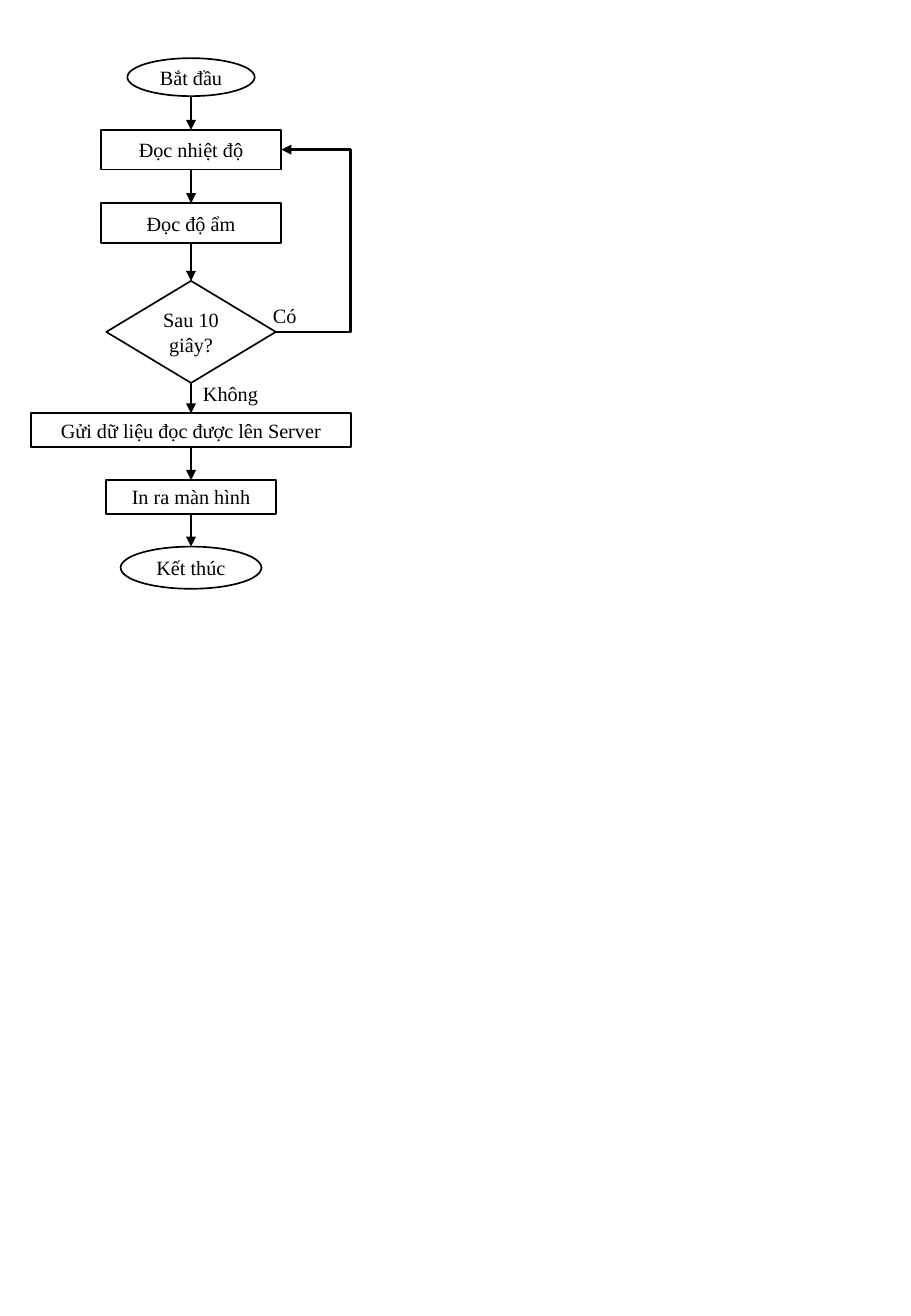
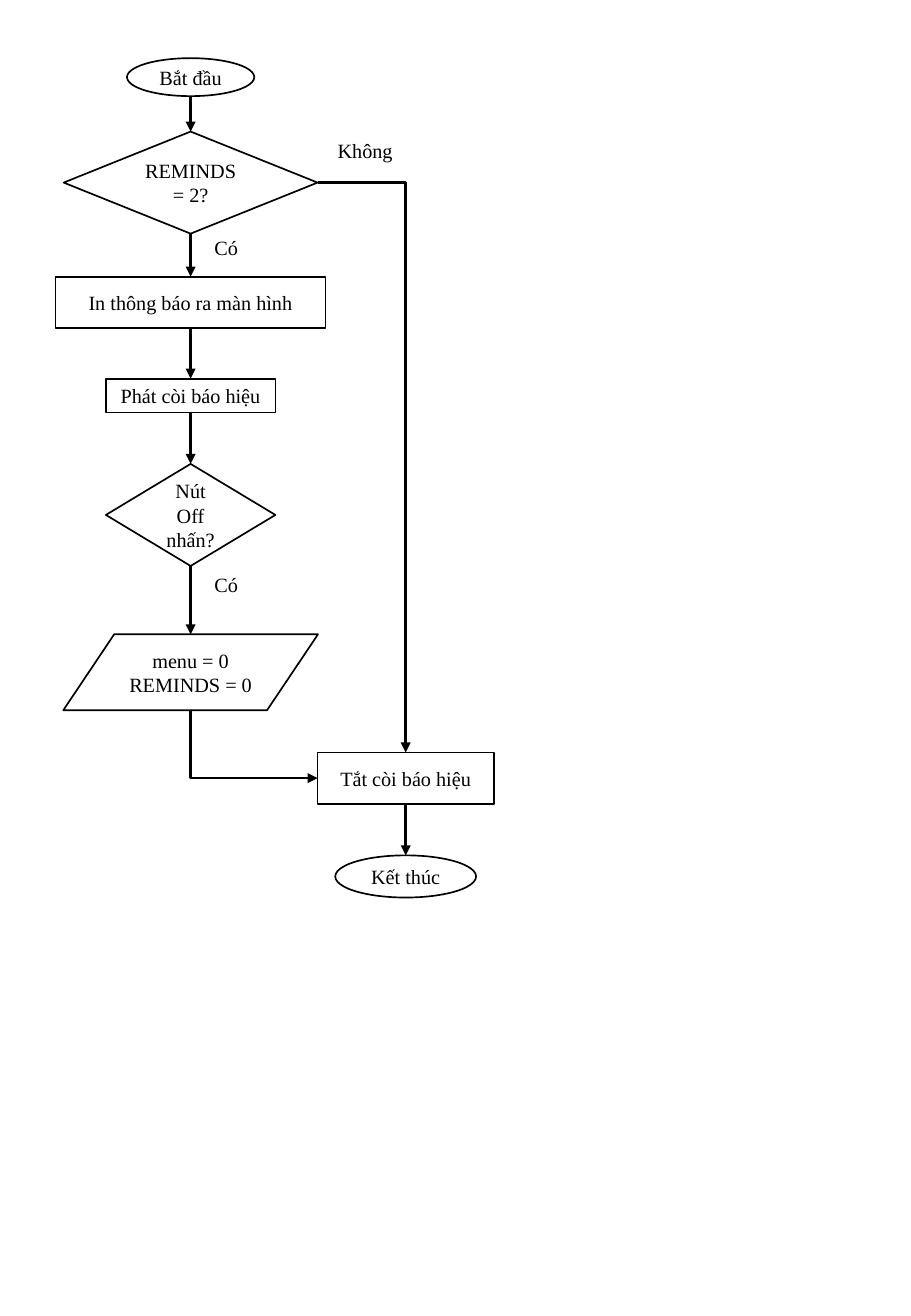
from dataclasses import dataclass
from itertools import pairwise

from lxml import etree
from pptx import Presentation
from pptx.dml import color
from pptx.enum import shapes, text
from pptx.oxml import ns
from pptx.util import Pt

KIND = shapes.MSO_SHAPE
TOP, LEFT, BOTTOM, RIGHT = range(4)


@dataclass(frozen=True)
class Theme:
    ink: color.RGBColor = color.RGBColor(0, 0, 0)
    font: str = "Times New Roman"
    size: float = 12
    outline: float = 1
    arrow: float = 1.5


@dataclass(frozen=True)
class Box:
    left: float
    top: float
    width: float
    height: float


THEME = Theme()


def write(shape, words, align):
    frame = shape.text_frame
    frame.word_wrap = True
    frame.text = words
    for paragraph in frame.paragraphs:
        paragraph.alignment = align
        paragraph.font.name = THEME.font
        paragraph.font.size = Pt(THEME.size)
        paragraph.font.color.rgb = THEME.ink


def step(slide, center, top, kind, words, width, height):
    node = slide.shapes.add_shape(
        kind, Pt(center - width / 2), Pt(top), Pt(width), Pt(height))
    node.shadow.inherit = False
    node.fill.background()
    node.line.color.rgb = THEME.ink
    node.line.width = Pt(THEME.outline)
    node.text_frame.vertical_anchor = text.MSO_ANCHOR.MIDDLE
    write(node, words, text.PP_ALIGN.CENTER)
    return node


def column(slide, center, top, rows):
    nodes = [step(slide, center, top + offset, *row) for offset, *row in rows]
    for source, target in pairwise(nodes):
        arrow(slide, source, BOTTOM, target, TOP)
    return nodes


def label(slide, left, top, width, words):
    caption = slide.shapes.add_textbox(Pt(left), Pt(top), Pt(width), Pt(21.5))
    write(caption, words, text.PP_ALIGN.LEFT)
    caption.text_frame.auto_size = text.MSO_AUTO_SIZE.SHAPE_TO_FIT_TEXT


def side_point(node, side):
    across, down = {TOP: (1, 0), LEFT: (0, 1), BOTTOM: (1, 2), RIGHT: (2, 1)}[side]
    return node.left + node.width * across // 2, node.top + node.height * down // 2


def arrow(slide, source, exit_side, target, entry_side, route=shapes.MSO_CONNECTOR.STRAIGHT):
    link = slide.shapes.add_connector(
        route, *side_point(source, exit_side), *side_point(target, entry_side))
    joinable = (KIND.RECTANGLE, KIND.FLOWCHART_DECISION)
    if source.auto_shape_type in joinable:
        link.begin_connect(source, exit_side)
    if target.auto_shape_type in joinable:
        link.end_connect(target, entry_side)
    link.line.color.rgb = THEME.ink
    link.line.width = Pt(THEME.arrow)
    etree.SubElement(link.line._get_or_add_ln(), ns.qn("a:tailEnd"), type="triangle")
    etree.SubElement(link._element.spPr, ns.qn("a:effectLst"))
    return link


def elbow(slide, source, exit_side, target, entry_side):
    return arrow(slide, source, exit_side, target, entry_side, shapes.MSO_CONNECTOR.ELBOW)


def bend_at(link, x):
    geometry = link._element.spPr.find(ns.qn("a:prstGeom"))
    guides = geometry.find(ns.qn("a:avLst"))
    if guides is None:
        guides = etree.SubElement(geometry, ns.qn("a:avLst"))
    ratio = round((Pt(x) - link.begin_x) / (link.end_x - link.begin_x) * 100000)
    etree.SubElement(guides, ns.qn("a:gd"), name="adj1", fmla=f"val {ratio}")


def single_corner(link):
    link._element.spPr.find(ns.qn("a:prstGeom")).set("prst", "bentConnector2")


def turn_down_first(link):
    run, drop = link.width, link.height
    link.left += (run - drop) // 2
    link.top += (drop - run) // 2
    link.width, link.height = drop, run
    frame = link._element.spPr.find(ns.qn("a:xfrm"))
    frame.set("rot", "16200000")
    frame.set("flipH", "1")


def sensor_flow(slide, box):
    center = box.left + box.width / 2
    start, read_heat, read_damp, wait, *rest = column(slide, center, box.top, [
        (0, KIND.OVAL, "Bắt đầu", 75.5, 22.5),
        (42.5, KIND.RECTANGLE, "Đọc nhiệt độ", 107, 23.5),
        (86, KIND.RECTANGLE, "Đọc độ ẩm", 107, 23.5),
        (132, KIND.FLOWCHART_DECISION, "Sau 10 giây?", 100.5, 60.5),
        (210.5, KIND.RECTANGLE, "Gửi dữ liệu đọc được lên Server", 189.5, 20),
        (250, KIND.RECTANGLE, "In ra màn hình", 100.5, 20),
        (289.5, KIND.OVAL, "Kết thúc", 83.5, 25),
    ])
    bend_at(elbow(slide, wait, RIGHT, read_heat, RIGHT), box.left + box.width - 0.5)
    label(slide, center + 41.5, box.top + 142, 30.5, "Có")
    label(slide, center, box.top + 188, 50.5, "Không")


def reminder_flow(slide, box):
    center = box.left + 80
    exit_center = box.left + box.width - 52.25
    start, due, notice, beep, pressed, reset = column(slide, center, box.top, [
        (0, KIND.OVAL, "Bắt đầu", 75.5, 22.5),
        (43.5, KIND.FLOWCHART_DECISION, "REMINDS = 2?", 150.5, 60.5),
        (129.5, KIND.RECTANGLE, "In thông báo ra màn hình", 160, 30.5),
        (190, KIND.RECTANGLE, "Phát còi báo hiệu", 100.5, 20),
        (240.5, KIND.FLOWCHART_DECISION, "Nút Off nhấn?", 100.5, 60.5),
        (341.5, KIND.FLOWCHART_DATA, "menu = 0\nREMINDS = 0", 151, 45),
    ])
    silence, end = column(slide, exit_center, box.top, [
        (411.5, KIND.RECTANGLE, "Tắt còi báo hiệu", 104.5, 30.5),
        (472.5, KIND.OVAL, "Kết thúc", 83.5, 25),
    ])
    single_corner(elbow(slide, due, RIGHT, silence, TOP))
    finish = elbow(slide, reset, BOTTOM, silence, LEFT)
    single_corner(finish)
    turn_down_first(finish)
    label(slide, center + 80, box.top + 44, 53.5, "Không")
    label(slide, center + 7, box.top + 101.5, 36, "Có")
    label(slide, center + 7, box.top + 301, 31, "Có")


def main():
    deck = Presentation()
    deck.slide_width, deck.slide_height = Pt(540), Pt(780)
    blank = deck.slide_layouts[6]
    sensor_flow(deck.slides.add_slide(blank), Box(18.5, 34.5, 189.5, 314.5))
    reminder_flow(deck.slides.add_slide(blank), Box(33, 34.5, 259.75, 497.5))
    deck.save("out.pptx")


if __name__ == "__main__":
    main()
